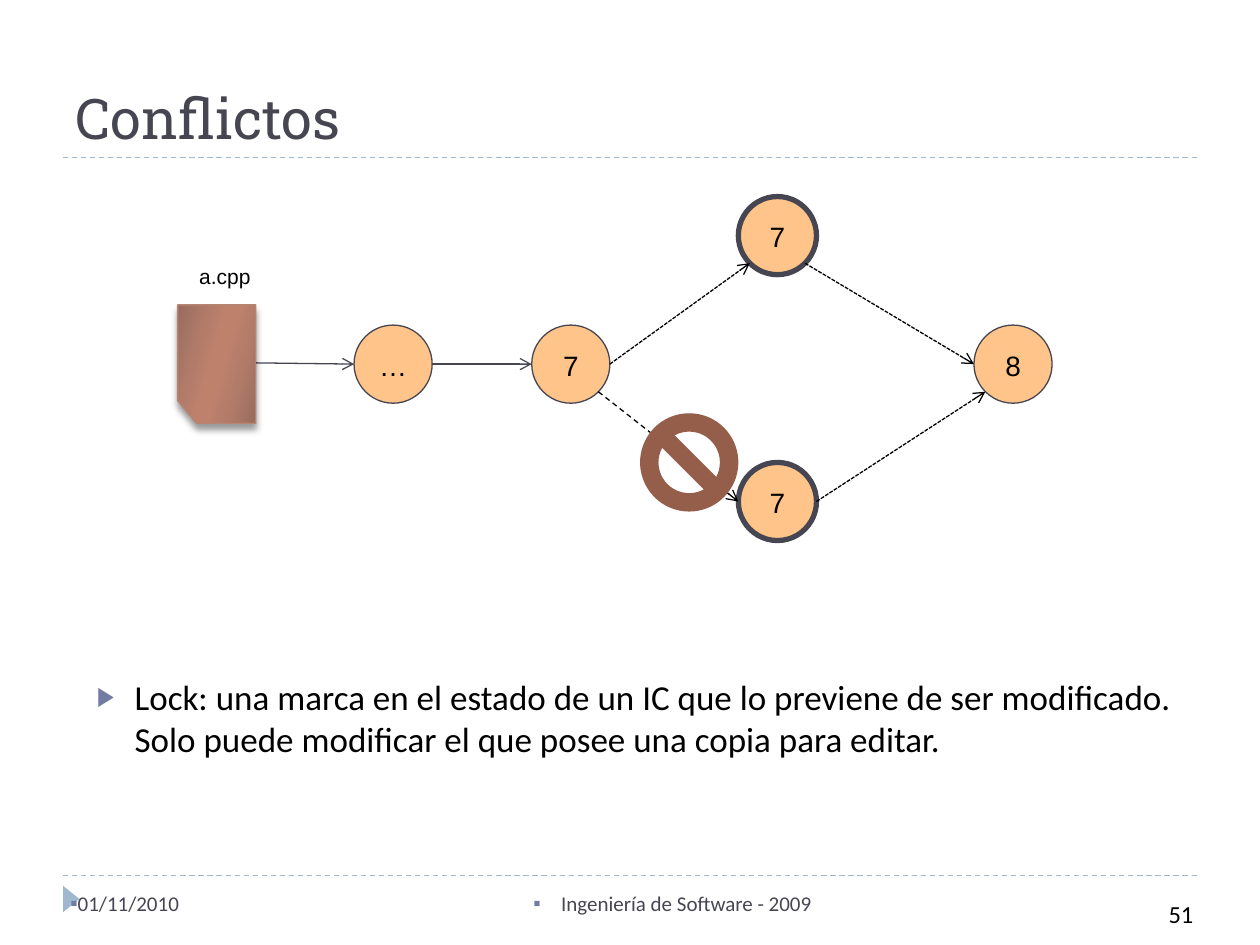
"""Build the "Conflictos" slide: a branching version graph with a locked edit."""
from dataclasses import dataclass
from math import cos, radians, sin

from lxml import etree
from pptx import Presentation
from pptx.dml.color import RGBColor
from pptx.enum.dml import MSO_LINE
from pptx.enum.shapes import MSO_CONNECTOR, MSO_SHAPE
from pptx.enum.text import MSO_ANCHOR, PP_ALIGN
from pptx.oxml import parse_xml
from pptx.oxml.ns import nsdecls, qn
from pptx.util import Inches, Pt

STRAIGHT = MSO_CONNECTOR.STRAIGHT
ELLIPSE, TRIANGLE, NO_SYMBOL = MSO_SHAPE.OVAL, MSO_SHAPE.ISOSCELES_TRIANGLE, MSO_SHAPE.NO_SYMBOL
DASH, SHORT_DASH = MSO_LINE.DASH, MSO_LINE.SQUARE_DOT
LEFT, CENTER, RIGHT = PP_ALIGN.LEFT, PP_ALIGN.CENTER, PP_ALIGN.RIGHT
TOP, MIDDLE, BOTTOM = MSO_ANCHOR.TOP, MSO_ANCHOR.MIDDLE, MSO_ANCHOR.BOTTOM

COLORS = {
    "ink": "464653", "text": "000000", "rule": "9FB8CD", "bullet": "727CA3",
    "node": "FFC489", "forbidden": "955E4B", "file_edge": "B88472",
}
FILE_STOPS = ((0, "976C5D"), (30, "B37C6A"), (45, "BE816C"),
              (55, "BE816C"), (73, "B37C6A"), (100, "976C5D"))
FILE_OUTLINE = ((1.41, 2.42), (2.03, 2.42), (2.03, 3.36), (1.56, 3.36), (1.41, 3.18))
RADIUS = 0.31


@dataclass(frozen=True)
class Node:
    """A version in the graph, placed by its centre."""
    label: str
    x: float
    y: float
    border: float = 0.75

    def rim(self, degrees: float) -> tuple[float, float]:
        """Return the point of the circle at a clockwise angle from the right."""
        angle = radians(degrees)
        return self.x + RADIUS * cos(angle), self.y + RADIUS * sin(angle)


@dataclass(frozen=True)
class Arrow:
    """A step from one point to another."""
    start: tuple[float, float]
    end: tuple[float, float]
    color: str = "text"
    dash: MSO_LINE | None = SHORT_DASH


@dataclass(frozen=True)
class Label:
    """A text box of one paragraph."""
    text: str
    at: tuple[float, float, float, float]
    size: float
    color: str = "text"
    font: str = "Calibri"
    align: PP_ALIGN = LEFT
    anchor: MSO_ANCHOR = TOP
    bullet: str = ""
    hang: float = 0
    bullet_size: int = 100
    wrap: bool = True
    spacing: float = 1.0


EARLIER = Node("…", 3.12, 2.89)
BASE = Node("7", 4.53, 2.89)
MERGED = Node("8", 8.04, 2.89)
UPPER = Node("7", 6.17, 1.87, 3)
LOWER = Node("7", 6.17, 3.98, 3)
NODES = (EARLIER, BASE, MERGED, UPPER, LOWER)

ARROWS = (
    Arrow((2.03, 2.88), EARLIER.rim(180), "ink", None),
    Arrow(EARLIER.rim(0), BASE.rim(180), "ink", None),
    Arrow(BASE.rim(0), UPPER.rim(135)),
    Arrow(UPPER.rim(45), MERGED.rim(180)),
    Arrow(BASE.rim(45), LOWER.rim(180), dash=DASH),
    Arrow(LOWER.rim(0), MERGED.rim(135)),
)

LABELS = (
    Label("01/11/2010", (0.46, 7.02, 2.33, 0.4), 12, "ink", bullet="▪"),
    Label("Ingeniería de Software - 2009", (3.37, 7.02, 3.17, 0.4), 12, "ink",
          align=RIGHT, bullet="▪", hang=0.22),
    Label("51", (7.66, 7.09, 1.91, 0.33), 14, align=RIGHT, anchor=MIDDLE),
    Label("Lock: una marca en el estado de un IC que lo previene de ser modificado. "
          "Solo puede modificar el que posee una copia para editar.",
          (0.67, 5.31, 8.83, 1.35), 20, bullet="▶", hang=0.3, bullet_size=76),
    Label("a.cpp", (1.48, 2.03, 0.61, 0.3), 12, font="Arial",
          align=CENTER, wrap=False, spacing=1.05),
)


def rgb(name: str) -> RGBColor:
    return RGBColor.from_string(COLORS[name])


def add_span(para, text: str, size: float, color: str, font: str) -> None:
    span = para.add_run()
    span.text = text
    span.font.size, span.font.name = Pt(size), font
    span.font.color.rgb = rgb(color)


def add_bullet(para, label: Label) -> None:
    properties = para._p.get_or_add_pPr()
    properties.set("marL", str(Inches(label.hang)))
    properties.set("indent", str(-Inches(label.hang)))
    color = etree.SubElement(properties, qn("a:buClr"))
    etree.SubElement(color, qn("a:srgbClr"), val=COLORS["bullet"])
    etree.SubElement(properties, qn("a:buSzPct"), val=str(label.bullet_size * 1000))
    etree.SubElement(properties, qn("a:buFont"), typeface="Arial")
    etree.SubElement(properties, qn("a:buChar"), char=label.bullet)


def add_label(page, label: Label) -> None:
    box = page.shapes.add_textbox(*map(Inches, label.at))
    frame = box.text_frame
    frame.word_wrap, frame.vertical_anchor = label.wrap, label.anchor
    para = frame.paragraphs[0]
    para.alignment, para.line_spacing = label.align, label.spacing
    if label.bullet:
        add_bullet(para, label)
    add_span(para, label.text, label.size, label.color, label.font)


def add_line(page, start: tuple[float, float], end: tuple[float, float],
             color: str, dash: MSO_LINE | None):
    line = page.shapes.add_connector(STRAIGHT, *map(Inches, (*start, *end)))
    line.line.color.rgb, line.line.width = rgb(color), Pt(0.75)
    if dash is not None:
        line.line.dash_style = dash
    etree.SubElement(line._element.spPr, qn("a:effectLst"))
    return line


def add_arrow(page, arrow: Arrow) -> None:
    line = add_line(page, arrow.start, arrow.end, arrow.color, arrow.dash)
    etree.SubElement(line.line._get_or_add_ln(), qn("a:tailEnd"), type="arrow")


def add_solid(page, kind: MSO_SHAPE, at: tuple[float, float, float, float], color: str):
    shape = page.shapes.add_shape(kind, *map(Inches, at))
    shape.shadow.inherit = False
    shape.fill.solid()
    shape.fill.fore_color.rgb = rgb(color)
    shape.line.fill.background()
    return shape


def add_node(page, node: Node) -> None:
    at = (node.x - RADIUS, node.y - RADIUS, 2 * RADIUS, 2 * RADIUS)
    circle = add_solid(page, ELLIPSE, at, "node")
    circle.line.color.rgb, circle.line.width = rgb("ink"), Pt(node.border)
    frame = circle.text_frame
    frame.vertical_anchor = MIDDLE
    para = frame.paragraphs[0]
    para.alignment, para.line_spacing = CENTER, 1.05
    add_span(para, node.label, 16, "text", "Arial")


def add_file(page) -> None:
    corners = [(Inches(x), Inches(y)) for x, y in FILE_OUTLINE]
    builder = page.shapes.build_freeform(*corners[0])
    builder.add_line_segments(corners[1:], close=True)
    sheet = builder.convert_to_shape()
    sheet.line.color.rgb, sheet.line.width = rgb("file_edge"), Pt(0.75)
    stops = "".join(f'<a:gs pos="{pos * 1000}"><a:srgbClr val="{color}"/></a:gs>'
                    for pos, color in FILE_STOPS)
    properties = sheet._element.spPr
    properties.find(qn("a:custGeom")).addnext(parse_xml(
        f'<a:gradFill {nsdecls("a")}><a:gsLst>{stops}</a:gsLst>'
        f'<a:lin ang="{16 * 60000}" scaled="0"/></a:gradFill>'))
    properties.append(parse_xml(
        f'<a:effectLst {nsdecls("a")}><a:outerShdw blurRad="{Pt(4)}" dist="{Pt(3.4)}" '
        'dir="5400000" rotWithShape="0"><a:srgbClr val="000000">'
        '<a:alpha val="40000"/></a:srgbClr></a:outerShdw></a:effectLst>'))


def add_title(page, text: str) -> None:
    title = page.shapes.title
    title.left, title.top, title.width, title.height = map(Inches, (0.5, 0.17, 9, 1.08))
    title.text_frame.vertical_anchor = BOTTOM
    para = title.text_frame.paragraphs[0]
    para.alignment = LEFT
    add_span(para, text, 32, "ink", "Roboto Slab")


def main() -> None:
    deck = Presentation()
    deck.slide_width, deck.slide_height = Inches(10), Inches(7.5)
    page = deck.slides.add_slide(deck.slide_layouts[5])
    for y in (6.95, 1.25):
        add_line(page, (0.5, y), (9.5, y), "rule", DASH)
    add_solid(page, TRIANGLE, (0.46, 7.07, 0.21, 0.13), "rule").rotation = 90
    add_title(page, "Conflictos")
    add_file(page)
    for node in NODES:
        add_node(page, node)
    for arrow in ARROWS:
        add_arrow(page, arrow)
    add_solid(page, NO_SYMBOL, (5.08, 3.28, 0.78, 0.78), "forbidden")
    for label in LABELS:
        add_label(page, label)
    deck.save("out.pptx")


if __name__ == "__main__":
    main()
